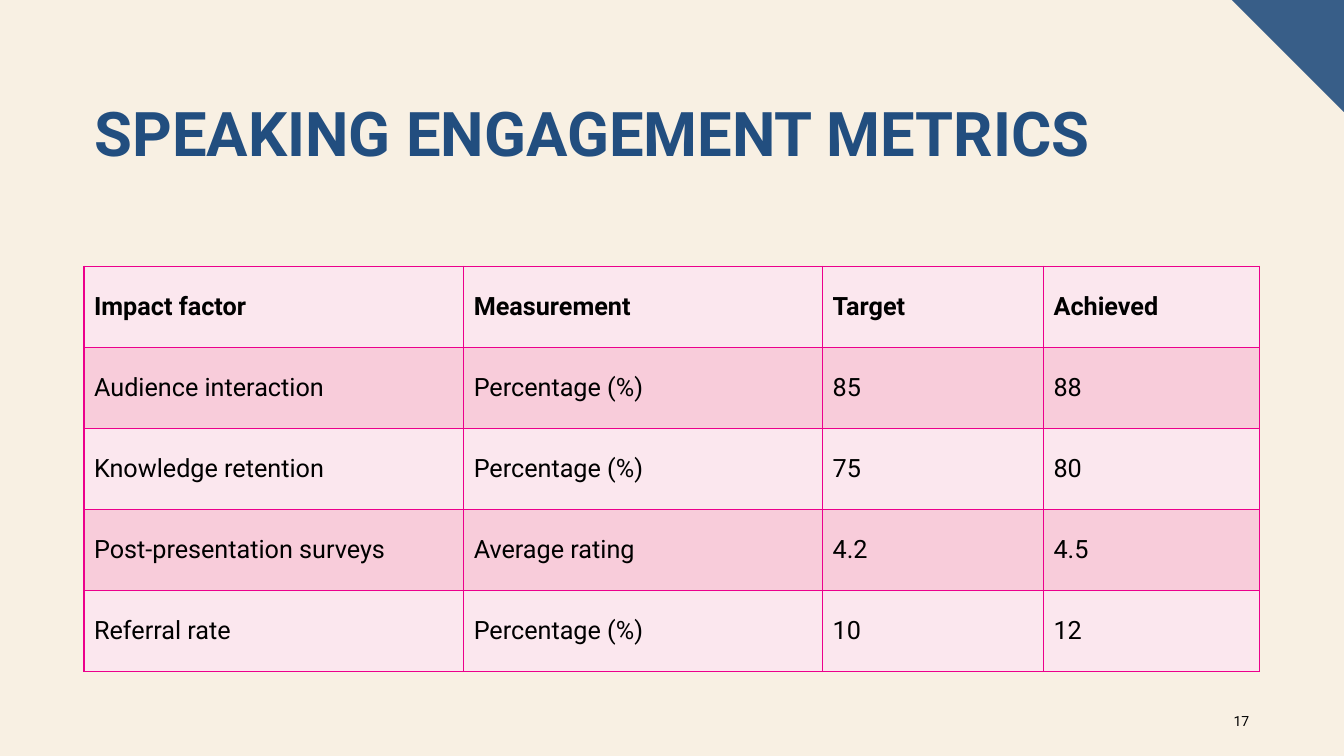
from lxml import etree
from pptx import Presentation
from pptx.dml.color import RGBColor
from pptx.enum.text import MSO_ANCHOR, PP_ALIGN
from pptx.oxml.ns import qn
from pptx.util import Pt

TOP, MIDDLE = MSO_ANCHOR.TOP, MSO_ANCHOR.MIDDLE
LEFT, RIGHT = PP_ALIGN.LEFT, PP_ALIGN.RIGHT
FONT = "Roboto"
CREAM, BLUE, NAVY = "F8F0E3", "385E88", "224E7F"
BLACK, PINK = "000000", "EC008C"
BANDS = ("FBE7EE", "F8CCDA")
COL_WIDTHS = (271.2, 256.4, 157.8, 154.2)
ROW_HEIGHT = 57.9
ROWS = (
    ("Impact factor", "Measurement", "Target", "Achieved"),
    ("Audience interaction", "Percentage (%)", "85", "88"),
    ("Knowledge retention", "Percentage (%)", "75", "80"),
    ("Post-presentation surveys", "Average rating", "4.2", "4.5"),
    ("Referral rate", "Percentage (%)", "10", "12"),
)


def paint(fill, color):
    """Fill with one solid hex colour."""
    fill.solid()
    fill.fore_color.rgb = RGBColor.from_string(color)


def write(tf, text, size, color, bold=False, align=LEFT):
    """Put one formatted paragraph in a text frame."""
    tf.word_wrap = True
    p = tf.paragraphs[0]
    p.text = text
    p.alignment = align
    p.font.name, p.font.size, p.font.bold = FONT, Pt(size), bold
    paint(p.font.fill, color)
    return p


def add_corner(s, slide_width, side):
    """Draw the triangle in the top right corner."""
    left = slide_width - Pt(side)
    builder = s.shapes.build_freeform(left, 0)
    builder.add_line_segments([(slide_width, 0), (slide_width, Pt(side))])
    sp = builder.convert_to_shape()
    sp.shadow.inherit = False
    paint(sp.fill, BLUE)
    sp.line.fill.background()


def set_title(s, text):
    """Place and format the title placeholder."""
    sp = s.shapes.title
    sp.left, sp.top, sp.width, sp.height = Pt(60.5), Pt(70.5), Pt(839.5), Pt(104.4)
    tf = sp.text_frame
    tf.vertical_anchor = TOP
    p = write(tf, text, 44, NAVY, bold=True)
    p.line_spacing = 0.9


def add_borders(cell, color, width):
    """Outline all four sides of a table cell."""
    tcPr = cell._tc.get_or_add_tcPr()
    for side in ("a:lnL", "a:lnR", "a:lnT", "a:lnB"):
        ln = etree.SubElement(tcPr, qn(side), w=str(Pt(width)))
        solid = etree.SubElement(ln, qn("a:solidFill"))
        etree.SubElement(solid, qn("a:srgbClr"), val=color)


def add_metrics_table(s, left, top):
    """Build the banded table of metrics."""
    frame = s.shapes.add_table(
        len(ROWS), len(COL_WIDTHS), Pt(left), Pt(top),
        Pt(sum(COL_WIDTHS)), Pt(ROW_HEIGHT * len(ROWS)))
    table = frame.table
    for column, width in zip(table.columns, COL_WIDTHS):
        column.width = Pt(width)
    for i, texts in enumerate(ROWS):
        table.rows[i].height = Pt(ROW_HEIGHT)
        for j, text in enumerate(texts):
            cell = table.cell(i, j)
            add_borders(cell, PINK, 1)
            paint(cell.fill, BANDS[i % 2])
            cell.vertical_anchor = MIDDLE
            write(cell.text_frame, text, 18, BLACK, bold=i == 0)


def add_page_number(s, text):
    """Add the page number at the bottom right."""
    sp = s.shapes.add_textbox(Pt(863.5), Pt(500.5), Pt(36), Pt(28.8))
    sp.text_frame.vertical_anchor = MIDDLE
    write(sp.text_frame, text, 10, BLACK, align=RIGHT)


def main():
    """Build and save the slide."""
    prs = Presentation()
    prs.slide_width, prs.slide_height = Pt(960), Pt(540)
    s = prs.slides.add_slide(prs.slide_layouts[5])
    paint(s.background.fill, CREAM)
    add_corner(s, prs.slide_width, 80)
    set_title(s, "SPEAKING ENGAGEMENT METRICS")
    add_metrics_table(s, 60, 190.2)
    add_page_number(s, "17")
    prs.save("out.pptx")


if __name__ == "__main__":
    main()
